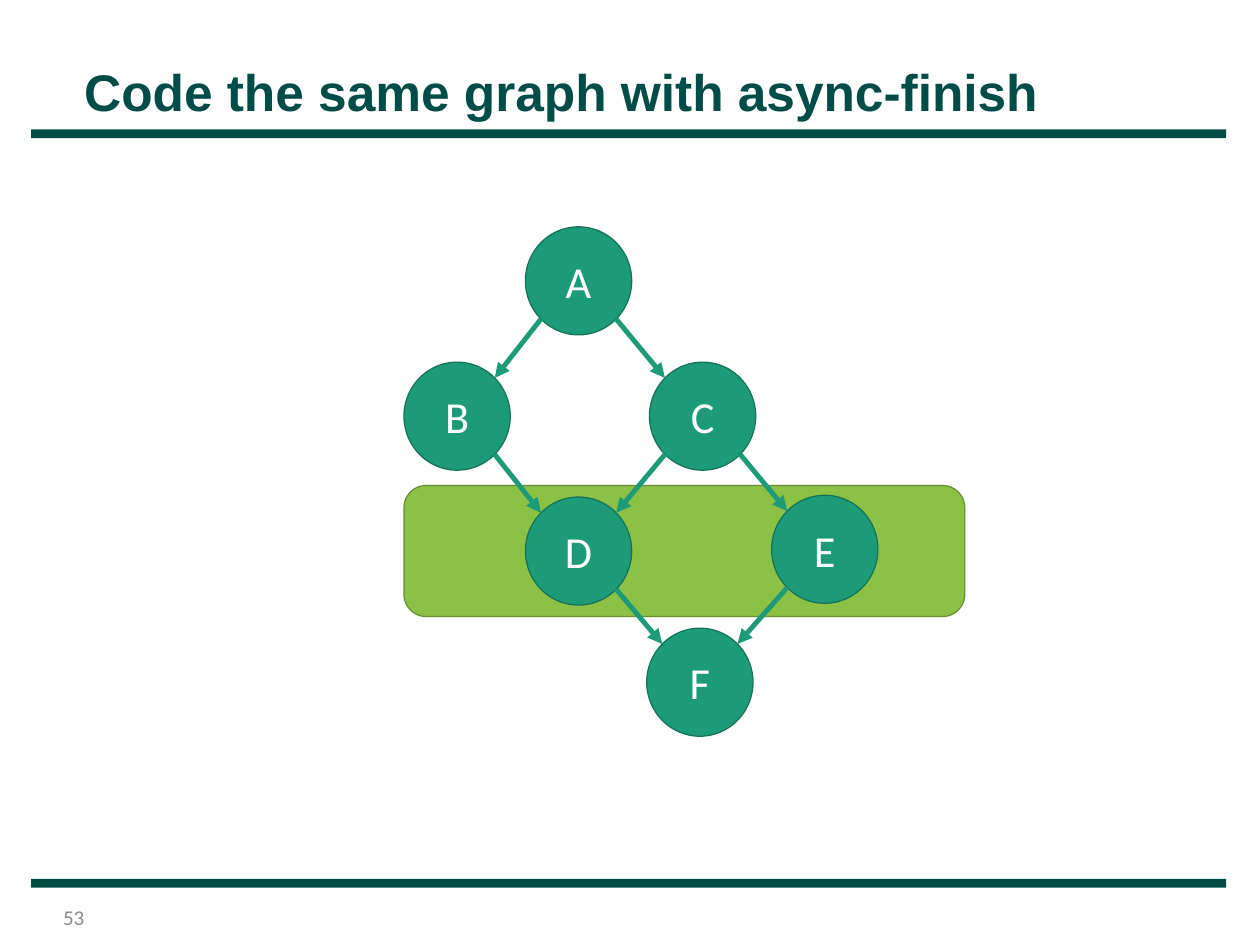
from math import sqrt

from lxml.etree import SubElement
from pptx import Presentation
from pptx.dml.color import RGBColor
from pptx.enum.shapes import MSO_CONNECTOR as Connector, MSO_SHAPE as Shape
from pptx.enum.text import MSO_ANCHOR as Anchor, PP_ALIGN as Align
from pptx.oxml.ns import qn
from pptx.util import Pt

DARK, GREEN, GREEN_EDGE = "004C46", "1D9A78", "157259"
BAND, BAND_EDGE = "8BC145", "678F33"
WHITE, GREY = "FFFFFF", "8C8C8C"

NODE_WIDTH, NODE_HEIGHT = 86.4, 87.84
# Left and top of each node, relative to the graph's box
NODES = {"A": (98.7, 0), "B": (0, 110), "C": (199.5, 110),
         "D": (98.7, 219.6), "E": (298.8, 218.2), "F": (197.3, 326.2)}
EDGES = ["AC", "AB", "CD", "BD", "CE", "DF", "EF"]


def color(hex_code):
    return RGBColor.from_string(hex_code)


def add_block(page, kind, left, top, width, height, fill, edge=None):
    block = page.shapes.add_shape(kind, Pt(left), Pt(top), Pt(width), Pt(height))
    block.shadow.inherit = False
    block.fill.solid()
    block.fill.fore_color.rgb = color(fill)
    if edge:
        block.line.color.rgb = color(edge)
        block.line.width = Pt(1)
    else:
        block.line.fill.background()
    return block


def write(box, text, size, font, hex_code, align, anchor, bold=False):
    frame = box.text_frame
    frame.text = text
    frame.word_wrap = True
    frame.vertical_anchor = anchor
    para = frame.paragraphs[0]
    para.alignment = align
    span = para.runs[0]
    span.font.size = Pt(size)
    span.font.name = font
    span.font.bold = bold
    span.font.color.rgb = color(hex_code)
    return para


def add_arrow(page, start, end):
    points = [Pt(value) for value in (*start, *end)]
    arrow = page.shapes.add_connector(Connector.STRAIGHT, *points)
    arrow.line.color.rgb = color(GREEN)
    arrow.line.width = Pt(4)
    SubElement(arrow.line._get_or_add_ln(), qn("a:tailEnd"), type="triangle")
    SubElement(arrow._element.spPr, qn("a:effectLst"))


def add_header(page, left, top, width, height):
    add_block(page, Shape.RECTANGLE, left, top + height, width, 7.2, DARK)
    title = page.shapes.add_textbox(Pt(left + 34.6), Pt(top), Pt(903), Pt(height))
    frame = title.text_frame
    frame.margin_left = Pt(8.64)
    frame.margin_right = frame.margin_top = frame.margin_bottom = Pt(5.76)
    para = write(title, "Code the same graph with async-finish", 41.8, "Arial",
                 DARK, Align.LEFT, Anchor.BOTTOM, bold=True)
    para.line_spacing = 0.85


def add_footer(page, left, top, width):
    add_block(page, Shape.RECTANGLE, left, top, width, 7.2, DARK)
    number = page.shapes.add_textbox(Pt(left + 13.7), Pt(top + 15.8), Pt(36.7), Pt(30.2))
    write(number, "53", 17.1, "Calibri", GREY, Align.RIGHT, Anchor.MIDDLE)


def add_graph(page, left, top):
    # Band behind the D and E level
    band = add_block(page, Shape.ROUNDED_RECTANGLE, left, top + 210.2,
                     455.8, 106.6, BAND, BAND_EDGE)
    band.adjustments[0] = 0.17

    # Nodes
    centers = {}
    for name, (dx, dy) in NODES.items():
        node = add_block(page, Shape.OVAL, left + dx, top + dy,
                         NODE_WIDTH, NODE_HEIGHT, GREEN, GREEN_EDGE)
        write(node, name, 36, "Calibri", WHITE, Align.CENTER, Anchor.MIDDLE)
        centers[name] = (left + dx + NODE_WIDTH / 2, top + dy + NODE_HEIGHT / 2)

    # Arrows run between the diagonal points of the circles
    reach_x = NODE_WIDTH / 2 / sqrt(2)
    reach_y = NODE_HEIGHT / 2 / sqrt(2)
    for source, target in EDGES:
        (x1, y1), (x2, y2) = centers[source], centers[target]
        side = reach_x if x2 > x1 else -reach_x
        add_arrow(page, (x1 + side, y1 + reach_y), (x2 - side, y2 - reach_y))


def main():
    deck = Presentation()
    deck.slide_width, deck.slide_height = Pt(1024), Pt(768)
    page = deck.slides.add_slide(deck.slide_layouts[6])
    add_header(page, left=25.2, top=-0.8, width=971.3, height=105.9)
    add_footer(page, left=25.2, top=714.2, width=971.3)
    add_graph(page, left=328.3, top=184.3)
    deck.save("out.pptx")


if __name__ == "__main__":
    main()
